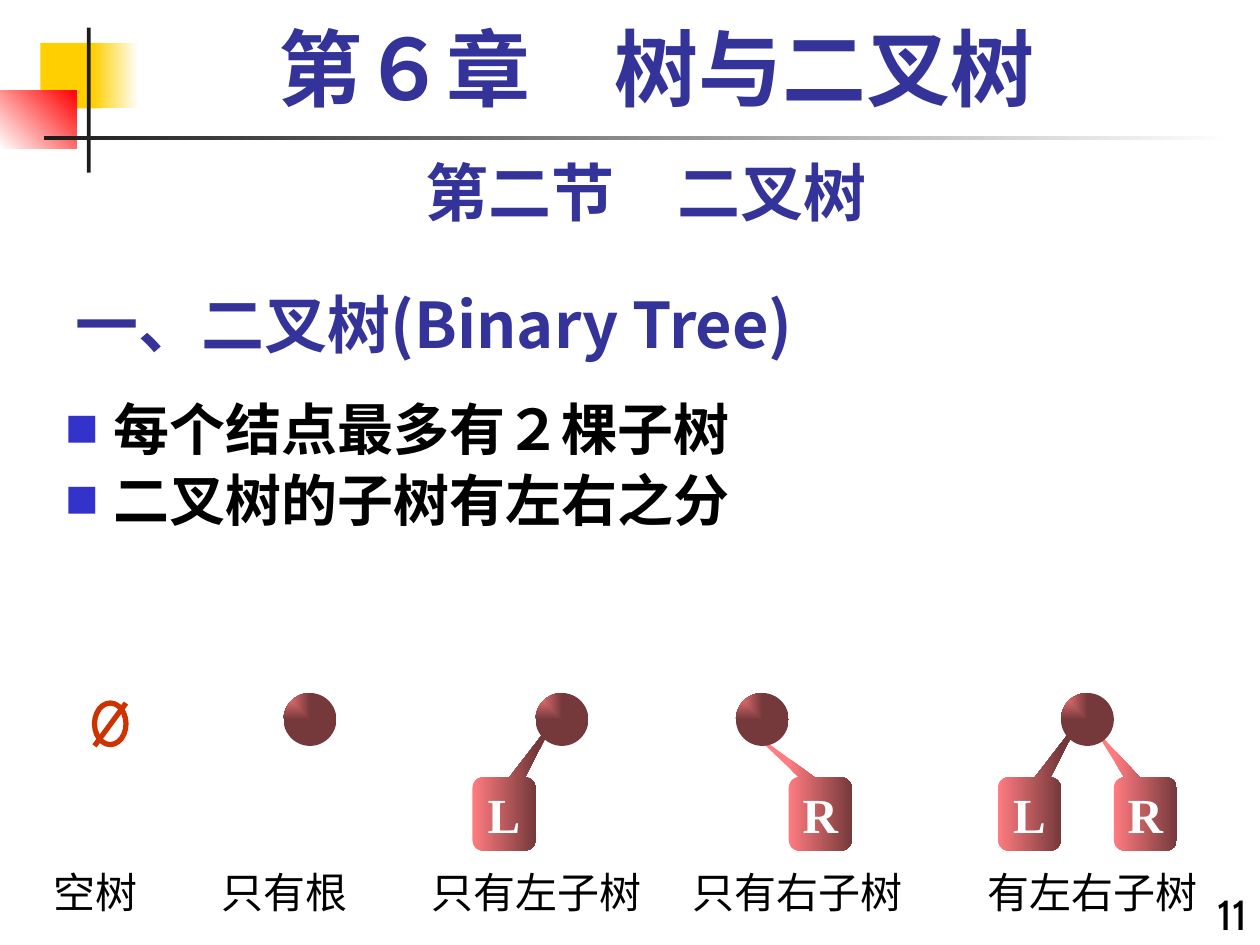
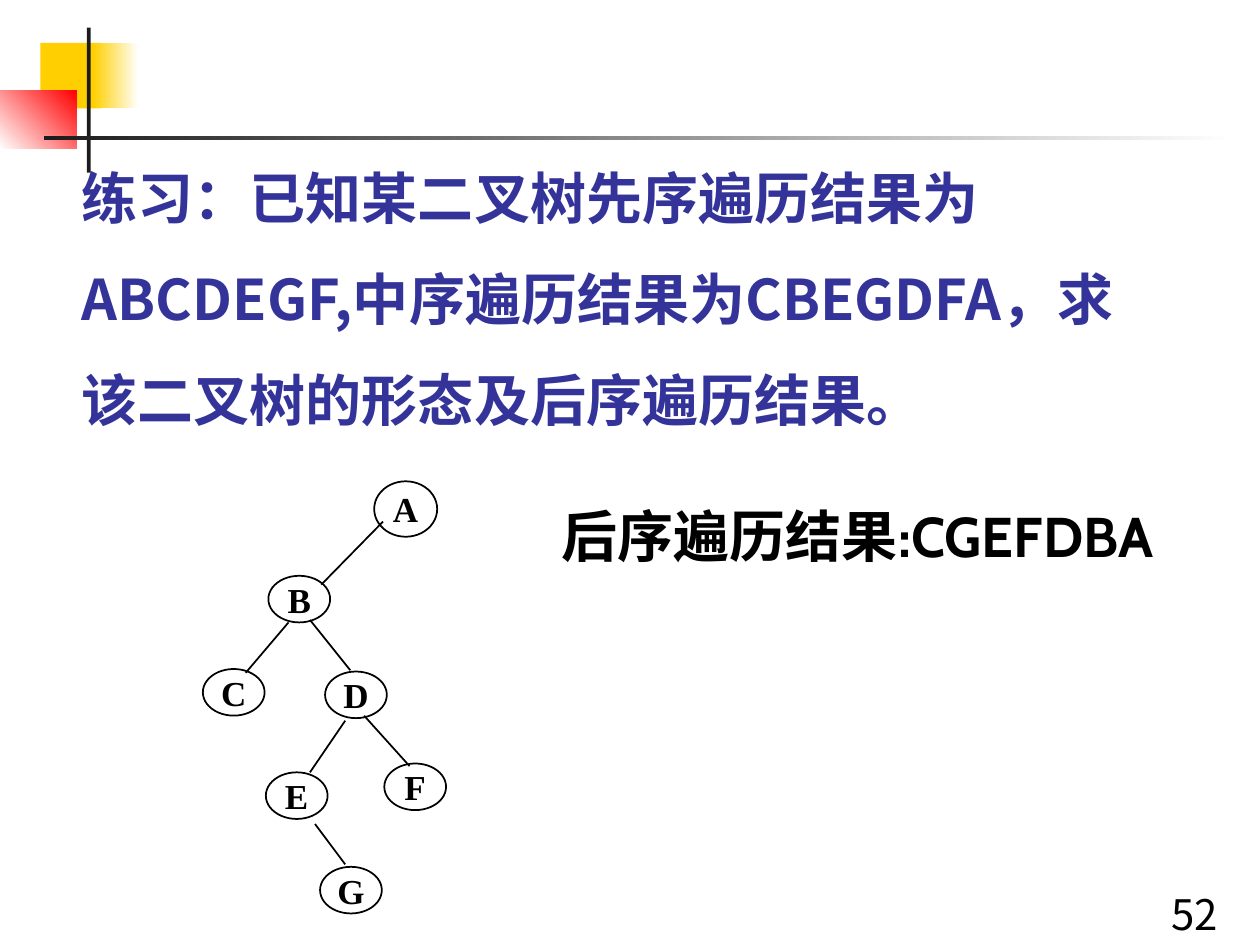
from lxml import etree
from pptx import Presentation
from pptx.dml.color import RGBColor
from pptx.enum.shapes import MSO_CONNECTOR, MSO_SHAPE
from pptx.enum.text import MSO_ANCHOR, MSO_AUTO_SIZE, PP_ALIGN
from pptx.oxml.ns import qn
from pptx.util import Inches, Pt

RECT, OVAL = MSO_SHAPE.RECTANGLE, MSO_SHAPE.OVAL
CALLOUT = MSO_SHAPE.ROUNDED_RECTANGULAR_CALLOUT
STRAIGHT = MSO_CONNECTOR.STRAIGHT
LEFT, CENTER, RIGHT = PP_ALIGN.LEFT, PP_ALIGN.CENTER, PP_ALIGN.RIGHT
TOP, MIDDLE, BOTTOM = MSO_ANCHOR.TOP, MSO_ANCHOR.MIDDLE, MSO_ANCHOR.BOTTOM

BLACK = RGBColor(0, 0, 0)
WHITE = RGBColor(0xFF, 0xFF, 0xFF)
NAVY = RGBColor(0x33, 0x33, 0x99)
BLUE = RGBColor(0x33, 0x33, 0xCC)
GOLD = RGBColor(0xFF, 0xCF, 0x01)
RED = RGBColor(0xFF, 0, 0)
INK = RGBColor(0x1C, 0x1C, 0x1C)
RUST = RGBColor(0xCC, 0x33, 0)
PINK = RGBColor(0xFF, 0x7C, 0x80)
WINE = RGBColor(0x76, 0x39, 0x3B)

HAN, CABIN, TIMES = "Noto Sans CJK SC", "Cabin", "Times New Roman"

# dot left, then (letter, box offset from dot, tail x, tail y) for each child
LEFT_KID = ("L", -0.5, 0.82, -1.32)
TREES = [
    (2.25, []),
    (4.25, [LEFT_KID]),
    (5.84, [("R", 0.42, -1.18, -1.19)]),
    (8.42, [LEFT_KID, ("R", 0.42, -0.83, -1.19)]),
]
LABELS = ["空树", "只有根", "只有左子树", "只有右子树", "有左右子树"]
STOPS = [1.33, 3.0, 5.07, 7.41]

NODES = {
    "A": (2.97, 3.82, 0.5, 0.44),
    "B": (2.13, 4.57, 0.49, 0.37),
    "C": (1.61, 5.31, 0.49, 0.37),
    "D": (2.58, 5.33, 0.49, 0.37),
    "E": (2.11, 6.13, 0.49, 0.37),
    "F": (3.05, 6.06, 0.49, 0.37),
    "G": (2.54, 6.88, 0.49, 0.37),
}
EDGES = [
    (3.04, 4.14, 2.55, 4.64),
    (2.29, 4.94, 1.95, 5.34),
    (2.46, 4.92, 2.78, 5.32),
    (2.74, 5.72, 2.46, 6.13),
    (2.89, 5.68, 3.25, 6.08),
    (2.5, 6.54, 2.74, 6.86),
]


def inches(box):
    return [Inches(v) for v in box]


def add_xml(parent, tag, **attrs):
    return etree.SubElement(parent, qn(tag), attrs)


def add_bullet(para):
    props = para._p.get_or_add_pPr()
    props.set("marL", str(Inches(0.38)))
    props.set("indent", str(-Inches(0.38)))
    add_xml(add_xml(props, "a:buClr"), "a:srgbClr", val=str(BLUE))
    add_xml(props, "a:buSzPct", val="60000")
    add_xml(props, "a:buFont", typeface=HAN)
    add_xml(props, "a:buChar", char="■")


def add_tabs(para, stops):
    tabs = add_xml(para._p.get_or_add_pPr(), "a:tabLst")
    for stop in stops:
        add_xml(tabs, "a:tab", pos=str(Inches(stop)), algn="l")


def write(frame, lines, size, font=HAN, color=BLACK, bold=False, align=LEFT,
          anchor=TOP, wrap=True, space=1.0, gap=0, bullet=False, stops=()):
    """Fill a text frame, one paragraph for each line."""
    frame.auto_size = MSO_AUTO_SIZE.NONE
    frame.word_wrap = wrap
    frame.vertical_anchor = anchor
    for i, line in enumerate(lines):
        para = frame.add_paragraph() if i else frame.paragraphs[0]
        if bullet:
            add_bullet(para)
        if stops:
            add_tabs(para, stops)
        para.alignment = align
        para.line_spacing = space
        para.space_before = Pt(gap if i else 0)
        run = para.add_run()
        run.text = line
        run.font.size, run.font.bold = Pt(size), bold
        run.font.name = font
        run.font.color.rgb = color
        add_xml(run._r.get_or_add_rPr(), "a:ea", typeface=HAN)


def add_text(slide, box, line, size, **style):
    write(slide.shapes.add_textbox(*inches(box)).text_frame, [line], size, **style)


def fill_holder(holder, box, lines, size, **style):
    holder.left, holder.top, holder.width, holder.height = inches(box)
    write(holder.text_frame, lines, size, **style)


def add_form(slide, kind, box, fill=None, line=None, width=1, angle=0):
    """Add a preset shape; a pair of colours as fill makes a gradient."""
    form = slide.shapes.add_shape(kind, *inches(box))
    form.shadow.inherit = False
    if fill is None:
        form.fill.background()
    elif isinstance(fill, list):
        form.fill.gradient()
        form.fill.gradient_angle = angle
        for stop, color in zip(form.fill.gradient_stops, fill):
            stop.color.rgb = color
    else:
        form.fill.solid()
        form.fill.fore_color.rgb = fill
    if line is None:
        form.line.fill.background()
    else:
        form.line.color.rgb = line
        form.line.width = Pt(width)
    return form


def add_line(slide, ends, color, width):
    line = slide.shapes.add_connector(STRAIGHT, *inches(ends))
    line.line.color.rgb = color
    line.line.width = Pt(width)
    add_xml(line._element.spPr, "a:effectLst")


def put_letter(form, letter, size, color):
    frame = form.text_frame
    frame.margin_left = frame.margin_right = 0
    frame.margin_top = frame.margin_bottom = 0
    write(frame, [letter], size, font=TIMES, color=color, bold=True,
          align=CENTER, anchor=MIDDLE, wrap=False)


def add_bands(slide):
    add_form(slide, RECT, (0.32, 0.34, 0.48, 0.52), GOLD)
    add_form(slide, RECT, (0.74, 0.34, 0.36, 0.52), [GOLD, WHITE])
    add_form(slide, RECT, (0, 0.72, 0.61, 0.46), [WHITE, RED], angle=45)
    add_form(slide, RECT, (0.69, 0.22, 0.03, 1.15), INK)
    add_form(slide, RECT, (0.35, 1.08, 9.45, 0.03), [INK, WHITE])


def add_dot(slide, left):
    dot = add_form(slide, OVAL, (left, 5.5, 0.42, 0.42), [PINK, WINE])
    grad = dot._element.spPr.find(qn("a:gradFill"))
    grad.remove(grad.find(qn("a:lin")))
    glow = add_xml(grad, "a:path", path="rect")
    add_xml(glow, "a:fillToRect", l="0", t="0", r="100000", b="100000")


def add_tree(slide, left, kids):
    for letter, shift, *tail in kids:
        box = (left + shift, 6.17, 0.5, 0.58)
        kid = add_form(slide, CALLOUT, box, [PINK, WINE])
        kid.adjustments[0], kid.adjustments[1] = tail
        put_letter(kid, letter, 28, WHITE)
    add_dot(slide, left)


def new_slide(deck, layout):
    slide = deck.slides.add_slide(deck.slide_layouts[layout])
    add_bands(slide)
    return slide


def build_forms(deck):
    """Slide on the five basic forms of a binary tree."""
    slide = new_slide(deck, 1)
    fill_holder(slide.shapes.title, (0.5, 2.17, 6.25, 0.75),
                ["一、二叉树(Binary Tree)"], 36, color=NAVY, bold=True, anchor=BOTTOM)
    fill_holder(slide.placeholders[1], (0.42, 3.08, 9.58, 4.42),
                ["每个结点最多有２棵子树", "二叉树的子树有左右之分"],
                32, bold=True, gap=2, bullet=True)
    add_text(slide, (0.67, 0.17, 9.08, 0.83), "第６章　树与二叉树", 48,
             font=TIMES, color=NAVY, bold=True, align=CENTER, space=0.9)
    add_text(slide, (0.5, 1.17, 9.25, 0.7), "第二节　二叉树", 36,
             font=CABIN, color=NAVY, bold=True, align=CENTER)
    add_form(slide, OVAL, (0.75, 5.58, 0.25, 0.33), line=RUST, width=3)
    add_line(slide, (1, 5.58, 0.75, 5.92), RUST, 3)
    for left, kids in TREES:
        add_tree(slide, left, kids)
    add_text(slide, (0.33, 6.83, 9.33, 0.5), "\t".join(LABELS), 24,
             font=CABIN, stops=STOPS)
    add_text(slide, (9.33, 7, 0.67, 0.5), "11", 24, font=CABIN, align=RIGHT)


def build_task(deck):
    """Slide with the traversal exercise and its answer."""
    slide = new_slide(deck, 5)
    fill_holder(slide.shapes.title, (0.55, 2.16, 8.67, 0.15),
                ["练习：已知某二叉树先序遍历结果为ABCDEGF,中序遍历结果为CBEGDFA，"
                 "求该二叉树的形态及后序遍历结果。"],
                32, color=NAVY, bold=True, anchor=MIDDLE, space=1.5)
    for letter, box in NODES.items():
        node = add_form(slide, OVAL, box, line=BLACK)
        put_letter(node, letter, 20, BLACK)
    for ends in EDGES:
        add_line(slide, ends, BLACK, 1)
    add_text(slide, (4.36, 3.93, 5.2, 0.64), "后序遍历结果:CGEFDBA", 32,
             font=CABIN, bold=True, wrap=False)
    add_text(slide, (9.2, 7, 0.8, 0.5), "52", 24)


def main():
    deck = Presentation()
    deck.slide_width, deck.slide_height = Inches(10), Inches(7.5)
    build_forms(deck)
    build_task(deck)
    deck.save("out.pptx")


if __name__ == "__main__":
    main()
